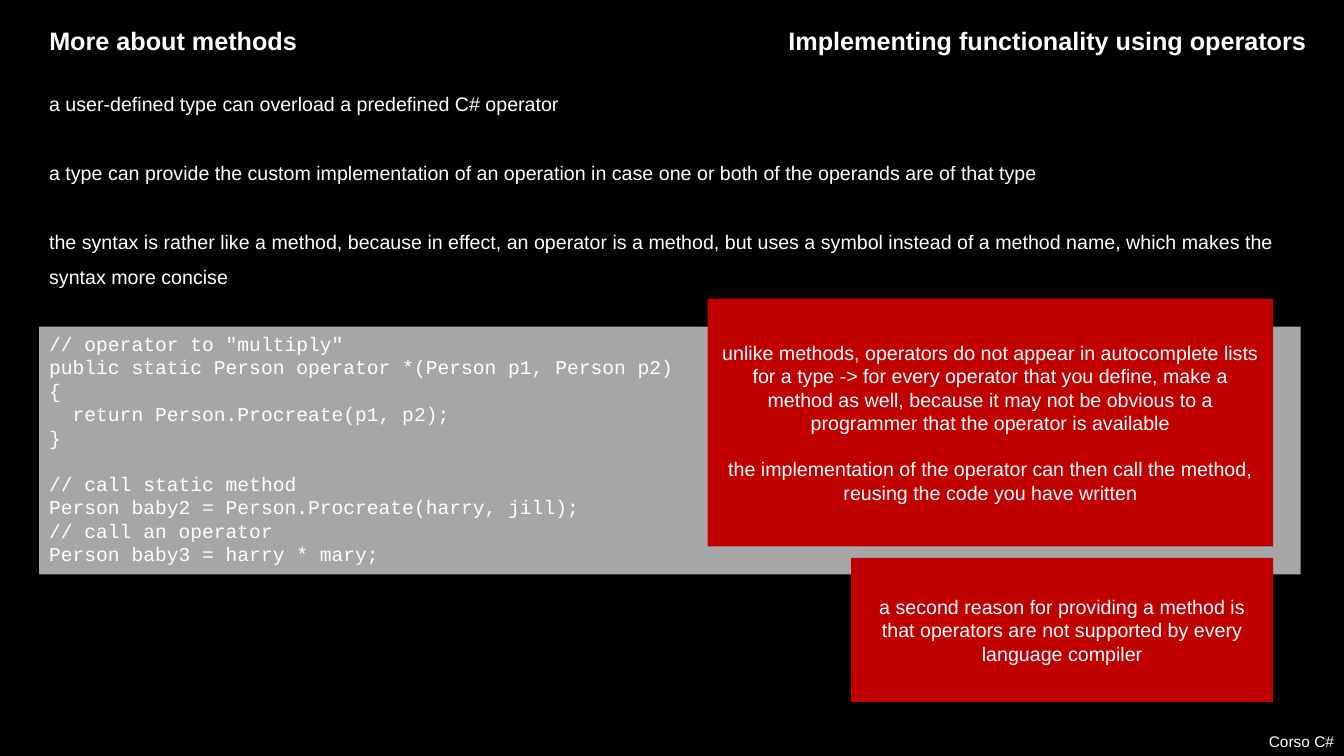
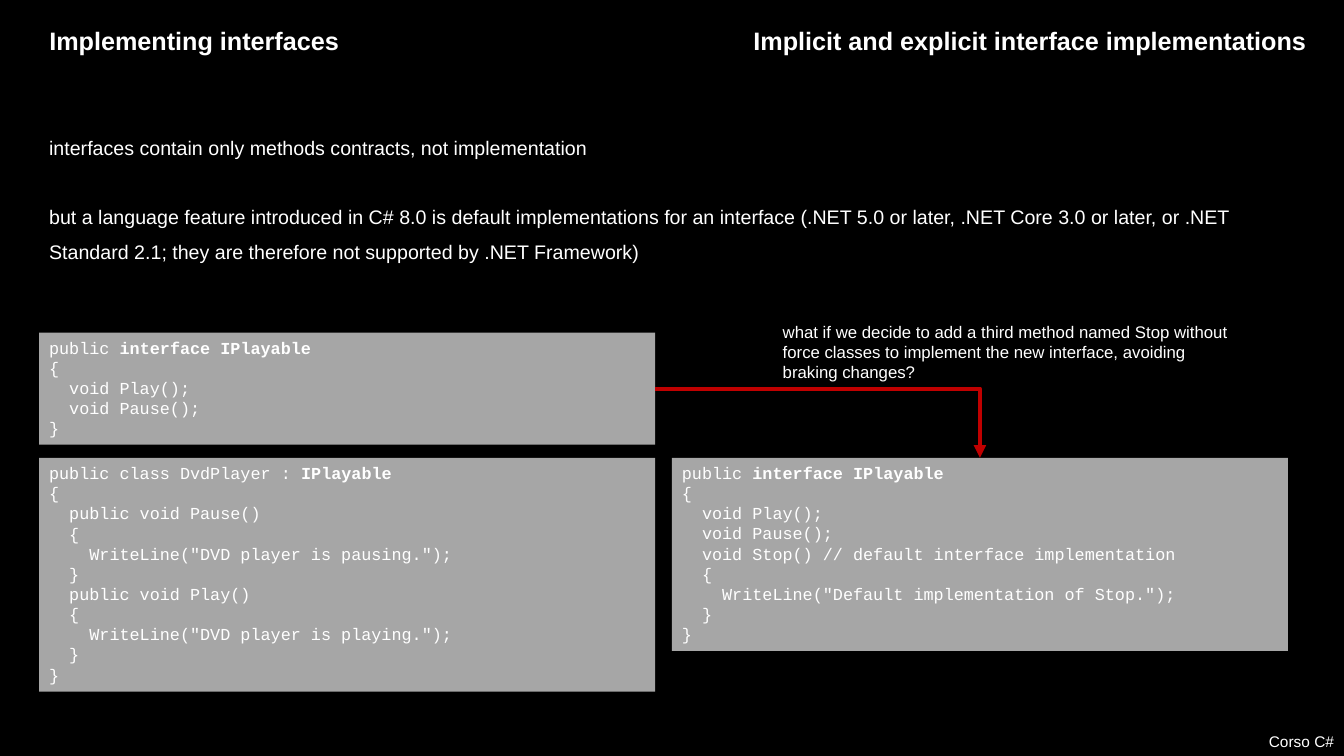
"""Build two C# course slides on operators and interface implementations."""
from dataclasses import dataclass

from lxml import etree
from pptx import Presentation
from pptx.dml.color import RGBColor
from pptx.enum.shapes import MSO_CONNECTOR, MSO_SHAPE
from pptx.enum.text import MSO_ANCHOR, MSO_AUTO_SIZE, PP_ALIGN
from pptx.oxml.ns import qn
from pptx.util import Pt

LEFT, CENTER, RIGHT = PP_ALIGN.LEFT, PP_ALIGN.CENTER, PP_ALIGN.RIGHT
TOP, MIDDLE = MSO_ANCHOR.TOP, MSO_ANCHOR.MIDDLE
GROW, FIXED = MSO_AUTO_SIZE.SHAPE_TO_FIT_TEXT, MSO_AUTO_SIZE.NONE
RECT, ELBOW = MSO_SHAPE.RECTANGLE, MSO_CONNECTOR.ELBOW
RIGHT_SITE, TOP_SITE = 3, 0
BOLD_MARK = "**"


@dataclass(frozen=True)
class Theme:
    back: RGBColor = RGBColor(0x00, 0x00, 0x00)
    text: RGBColor = RGBColor(0xFF, 0xFF, 0xFF)
    panel: RGBColor = RGBColor(0xA6, 0xA6, 0xA6)
    accent: RGBColor = RGBColor(0xC0, 0x00, 0x00)
    font: str = "Arial"
    code_font: str = "Courier New"
    title_size: int = 18
    body_size: int = 14
    small_size: int = 12
    footer_size: int = 11
    body_gap: int = 24
    blank_line: int = 16
    margin: int = 28
    width: int = 960
    height: int = 540
    content: int = 901


class Deck:
    def __init__(self, theme):
        self.t = theme
        self.prs = Presentation()
        self.prs.slide_width = Pt(theme.width)
        self.prs.slide_height = Pt(theme.height)
        fill = self.prs.slide_master.background.fill
        fill.solid()
        fill.fore_color.rgb = theme.back
        self.s = None

    def slide(self, title, topic):
        t = self.t
        self.s = self.prs.slides.add_slide(self.prs.slide_layouts[5])
        self.text([("Corso C#", 0)], 0, 519.5, t.width, 20.5, t.footer_size, align=RIGHT)
        sp = self.s.shapes.title
        sp.left, sp.top, sp.width, sp.height = Pt(t.margin), Pt(14.4), Pt(400), Pt(29)
        self.set_text(sp, [(title, 0)], t.title_size, bold=True)
        self.text([(topic, 0)], 460, 14.4, 480.3, 29, t.title_size, align=RIGHT, bold=True)

    def set_text(self, sp, lines, size, font=None, align=LEFT, anchor=TOP,
                 grow=True, bold=False, spacing=1.0):
        tf = sp.text_frame
        tf.word_wrap = True
        tf.auto_size = GROW if grow else FIXED
        tf.vertical_anchor = anchor
        for i, (line, gap) in enumerate(lines):
            p = tf.add_paragraph() if i else tf.paragraphs[0]
            p.alignment, p.line_spacing, p.space_before = align, spacing, Pt(gap)
            for j, part in enumerate(line.split(BOLD_MARK)):
                if not part:
                    continue
                r = p.add_run()
                r.text = part
                r.font.name, r.font.size = font or self.t.font, Pt(size)
                r.font.bold = bold or j % 2 == 1
                r.font.color.rgb = self.t.text

    def text(self, lines, x, y, w, h, size, **style):
        sp = self.s.shapes.add_textbox(Pt(x), Pt(y), Pt(w), Pt(h))
        self.set_text(sp, lines, size, **style)

    def body(self, lines, y, h):
        t = self.t
        spaced = [(line, t.body_gap if i else 0) for i, line in enumerate(lines)]
        self.text(spaced, t.margin, y, t.content, h, t.body_size, spacing=1.5)

    def box(self, color, x, y, w, h):
        sp = self.s.shapes.add_shape(RECT, Pt(x), Pt(y), Pt(w), Pt(h))
        sp.shadow.inherit = False
        sp.fill.solid()
        sp.fill.fore_color.rgb = color
        sp.line.fill.background()
        return sp

    def blocks(self, groups):
        return [(line, self.t.blank_line if g and not i else 0)
                for g, group in enumerate(groups)
                for i, line in enumerate(group.split("\n"))]

    def code(self, groups, x, y, w, h, size):
        sp = self.box(self.t.panel, x, y, w, h)
        self.set_text(sp, self.blocks(groups), size, font=self.t.code_font)
        return sp

    def callout(self, groups, x, y, w, h):
        sp = self.box(self.t.accent, x, y, w, h)
        self.set_text(sp, self.blocks(groups), self.t.body_size,
                      align=CENTER, anchor=MIDDLE, grow=False)

    def arrow(self, start, end):
        cxn = self.s.shapes.add_connector(ELBOW, 0, 0, 0, 0)
        cxn.begin_connect(start, RIGHT_SITE)
        cxn.end_connect(end, TOP_SITE)
        cxn.line.color.rgb = self.t.accent
        cxn.line.width = Pt(3)
        props = cxn.element.spPr
        props.find(qn("a:prstGeom")).set("prst", "bentConnector2")
        etree.SubElement(props.find(qn("a:ln")), qn("a:tailEnd"), type="triangle")
        etree.SubElement(props, qn("a:effectLst"))


OPERATOR_CODE = '''// operator to "multiply"
public static Person operator *(Person p1, Person p2)
{
  return Person.Procreate(p1, p2);
}'''

CALL_CODE = '''// call static method
Person baby2 = Person.Procreate(harry, jill);
// call an operator
Person baby3 = harry * mary;'''

INTERFACE_CODE = '''public **interface IPlayable**
{
  void Play();
  void Pause();
}'''

PLAYER_CODE = '''public class DvdPlayer : **IPlayable**
{
  public void Pause()
  {
    WriteLine("DVD player is pausing.");
  }
  public void Play()
  {
    WriteLine("DVD player is playing.");
  }
}'''

DEFAULT_CODE = '''public **interface IPlayable**
{
  void Play();
  void Pause();
  void Stop() // default interface implementation
  {
    WriteLine("Default implementation of Stop.");
  }
}'''


def operators_slide(deck):
    t = deck.t
    deck.slide("More about methods", "Implementing functionality using operators")
    deck.body([
        "a user-defined type can overload a predefined C# operator",
        "a type can provide the custom implementation of an operation in case one or both "
        "of the operands are of that type",
        "the syntax is rather like a method, because in effect, an operator is a method, but "
        "uses a symbol instead of a method name, which makes the syntax more concise",
    ], 54, 154)
    deck.code([OPERATOR_CODE, CALL_CODE], t.margin, 233.3, t.content, 177, t.body_size)
    deck.callout([
        "unlike methods, operators do not appear in autocomplete lists for a type -> for every "
        "operator that you define, make a method as well, because it may not be obvious to a "
        "programmer that the operator is available",
        "the implementation of the operator can then call the method, reusing the code you "
        "have written",
    ], 505.5, 213.3, 404, 177)
    deck.callout([
        "a second reason for providing a method is that operators are not supported by every "
        "language compiler",
    ], 608, 398.5, 301.5, 103)


def interfaces_slide(deck):
    t = deck.t
    deck.slide("Implementing interfaces", "Implicit and explicit interface implementations")
    deck.body([
        "interfaces contain only methods contracts, not implementation",
        "but a language feature introduced in C# 8.0 is default implementations for an "
        "interface (.NET 5.0 or later, .NET Core 3.0 or later, or .NET Standard 2.1; they are "
        "therefore not supported by .NET Framework)",
    ], 85, 104)
    w, gap, row = 440, 12, 327
    before = deck.code([INTERFACE_CODE], t.margin, 237.6, w, 80, t.small_size)
    deck.code([PLAYER_CODE], t.margin, row, w, 167, t.small_size)
    after = deck.code([DEFAULT_CODE], t.margin + w + gap, row, w, 138, t.small_size)
    deck.arrow(before, after)
    deck.text([(
        "what if we decide to add a third method named Stop without force classes to "
        "implement the new interface, avoiding braking changes?", 0,
    )], 552, 226, 334, 51, t.small_size)


def main():
    deck = Deck(Theme())
    operators_slide(deck)
    interfaces_slide(deck)
    deck.prs.save("out.pptx")


if __name__ == "__main__":
    main()
